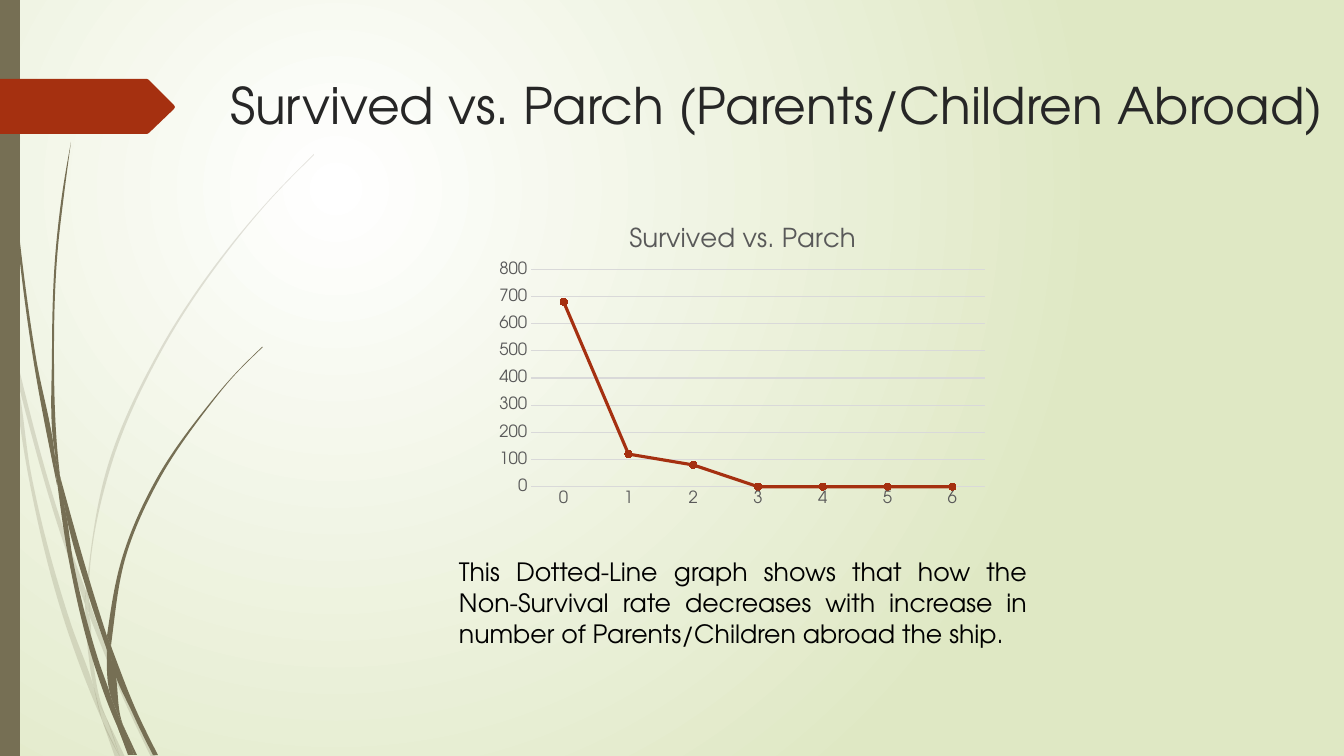
from math import dist

from lxml.etree import SubElement
from pptx import Presentation
from pptx.chart.data import CategoryChartData
from pptx.dml.color import RGBColor
from pptx.enum.chart import XL_CHART_TYPE as ChartType, XL_MARKER_STYLE as Marker
from pptx.enum.chart import XL_TICK_MARK as Tick
from pptx.enum.shapes import MSO_SHAPE as Shape
from pptx.enum.text import MSO_ANCHOR as Anchor, MSO_AUTO_SIZE as AutoSize
from pptx.enum.text import PP_ALIGN as Align
from pptx.oxml import parse_xml
from pptx.oxml.ns import nsdecls, qn
from pptx.util import Pt

PX = 914400 / 100.8
FONT = "TeX Gyre Adventor"
OLIVE, RUST, GREY, RULE = "766F54", "A53010", "595959", "D9D9D9"

# Grass blades: each piece is a pair of edges running the same way
PALE_BLADES = [
    ([(0, 284), (9, 325), (11, 353)], [(0, 301), (10, 347), (11, 353)]),
    ([(17, 379), (58, 526), (85, 604)], [(14, 348), (62, 524), (86, 591)]),
    ([(89, 615), (124, 700), (151, 757)], [(89, 601), (93, 612), (128, 698), (156, 757)]),
    ([(106, 717), (120, 757)], [(106, 717), (125, 757)]),
    ([(11, 353), (28, 474), (66, 626), (93, 699), (102, 720)],
     [(11, 353), (17, 379), (31, 473), (71, 624), (94, 688), (102, 720)]),
    ([(85, 604), (88, 651), (94, 688), (97, 698), (106, 717)],
     [(85, 604), (89, 615), (92, 651), (104, 712), (106, 717)]),
    ([(89, 601), (89, 589), (111, 466), (161, 352), (231, 247), (270, 200), (314, 155)],
     [(86, 591), (108, 465), (159, 351), (230, 246), (270, 199), (314, 154)]),
    ([(102, 720), (115, 757)], [(102, 720), (120, 757)]),
    ([(86, 591), (85, 604), (89, 613)], [(86, 591), (89, 601), (89, 615)]),
    ([(94, 688), (102, 720), (120, 757)], [(94, 688), (97, 698), (106, 717), (120, 757)]),
]
DARK_BLADES = [
    ([(3, 0), (4, 48), (7, 111), (17, 235), (33, 358), (57, 485)],
     [(4, 0), (5, 48), (8, 110), (19, 234), (36, 358), (55, 457), (57, 485)]),
    ([(60, 476), (65, 509), (89, 597), (107, 650)], [(60, 476), (94, 595), (107, 636)]),
    ([(111, 646), (112, 661), (133, 714), (153, 755)],
     [(111, 646), (114, 654), (137, 712), (158, 755)]),
    ([(57, 481), (69, 561), (94, 664), (112, 714), (118, 728)],
     [(57, 481), (65, 509), (73, 560), (99, 662), (111, 697), (118, 728)]),
    ([(71, 142), (62, 195), (56, 247), (52, 352), (55, 453), (60, 476)],
     [(71, 142), (64, 195), (58, 247), (54, 352), (58, 457), (60, 476)]),
    ([(123, 725), (134, 755)], [(123, 725), (137, 755)]),
    ([(55, 453), (57, 481), (65, 509)], [(55, 453), (60, 476), (65, 509)]),
    ([(111, 646), (112, 638), (126, 556), (159, 480), (207, 409), (233, 377), (263, 347)],
     [(107, 636), (123, 555), (157, 478), (206, 408), (233, 376), (262, 347)]),
    ([(118, 728), (128, 755)], [(118, 728), (132, 755)]),
    ([(107, 650), (111, 697), (117, 712), (123, 725)],
     [(107, 650), (112, 661), (122, 722), (123, 725)]),
    ([(107, 636), (107, 650), (112, 661)], [(107, 636), (111, 646), (112, 661)]),
    ([(111, 697), (118, 728), (131, 755)], [(111, 697), (117, 712), (123, 725), (134, 755)]),
]
BANNER = [(0, 79), (147, 79), (149, 80), (174, 105), (175, 107), (174, 109),
          (149, 133), (147, 134), (0, 134)]


def px(*lengths):
    return [round(length * PX) for length in lengths]


def rgb(code):
    return RGBColor.from_string(code)


def style(font, size, color):
    font.name, font.size, font.bold = FONT, Pt(size), False
    font.color.rgb = rgb(color)


def paint(shape, color, opacity=100):
    shape.shadow.inherit = False
    shape.fill.solid()
    shape.fill.fore_color.rgb = rgb(color)
    shape.line.fill.background()
    if opacity < 100:
        tint = shape.element.spPr.find(qn("a:solidFill")).find(qn("a:srgbClr"))
        SubElement(tint, qn("a:alpha"), val=str(opacity * 1000))


def mix(a, b, share):
    return [p + (q - p) * share for p, q in zip(a, b)]


def edge_handles(points):
    """Two Bezier handles for each stretch of a smooth edge."""
    spans = [dist(a, b) for a, b in zip(points, points[1:])]
    chords = [[(q - p) / span for p, q in zip(a, b)]
              for a, b, span in zip(points, points[1:], spans)]
    inner = [mix(chords[i], chords[i + 1], spans[i] / (spans[i] + spans[i + 1]))
             for i in range(len(spans) - 1)]
    first = mix(inner[0], chords[0], 1.5) if inner else chords[0]
    final = mix(inner[-1], chords[-1], 1.5) if inner else chords[-1]
    slopes = [first, *inner, final]
    return [([p + s * span / 3 for p, s in zip(points[i], slopes[i])],
             [p - s * span / 3 for p, s in zip(points[i + 1], slopes[i + 1])])
            for i, span in enumerate(spans)]


def add_outline(shapes, points, color, opacity=100):
    corners = [px(*point) for point in points]
    builder = shapes.build_freeform(*corners[0], scale=1.0)
    builder.add_line_segments(corners[1:], close=True)
    outline = builder.convert_to_shape()
    paint(outline, color, opacity)
    return outline


def bend(outline, handles, left, top):
    """Turn straight stretches into curves; None leaves one straight."""
    for stretch, pair in zip(list(outline.element.iter(qn("a:lnTo"))), handles):
        if pair:
            stretch.tag = qn("a:cubicBezTo")
            for place, handle in enumerate(pair):
                x, y = px(handle[0] - left, handle[1] - top)
                stretch.insert(place, parse_xml(f'<a:pt {nsdecls("a")} x="{x}" y="{y}"/>'))


def add_blades(slide, blades, opacity):
    tuft = slide.shapes.add_group_shape().shapes
    for near, far in blades:
        back = far[::-1]
        tip = back[1:] if near[-1] == back[0] else back
        bridge = [] if near[-1] == back[0] else [None]
        points = near + tip
        outline = add_outline(tuft, points, OLIVE, opacity)
        bend(outline, edge_handles(near) + bridge + edge_handles(back),
             min(x for x, y in points), min(y for x, y in points))


def set_background(slide):
    fill = slide.background.fill
    fill.gradient()
    for stop, color in zip(fill.gradient_stops, ("FFFFFF", "DFE8C4")):
        stop.color.rgb = rgb(color)
    gradient = next(slide.element.iter(qn("a:gradFill")))
    gradient.remove(gradient.find(qn("a:lin")))
    circle = SubElement(gradient, qn("a:path"), path="circle")
    SubElement(circle, qn("a:fillToRect"), l="50000", t="50000", r="100000", b="100000")


def write(frame, text, size, color, align):
    frame.word_wrap = True
    frame.vertical_anchor = Anchor.TOP
    paragraph = frame.paragraphs[0]
    paragraph.alignment = align
    run = paragraph.add_run()
    run.text = text
    style(run.font, size, color)
    return paragraph


def place_plot(chart, **shares):
    """Fix the inner plot area as shares of the chart."""
    plot_area = chart.plots[0]._element.getparent()
    for automatic in plot_area.findall(qn("c:layout")):
        plot_area.remove(automatic)
    settings = {"layoutTarget": "inner", "xMode": "edge", "yMode": "edge", **shares}
    inside = "".join(f'<c:{key} val="{value}"/>' for key, value in settings.items())
    plot_area.insert(0, parse_xml(
        f'<c:layout {nsdecls("c")}><c:manualLayout>{inside}</c:manualLayout></c:layout>'))


def add_survival_chart(slide):
    data = CategoryChartData()
    data.categories = [str(parch) for parch in range(7)]
    data.add_series("Series 1", (680, 120, 80, 0, 0, 0, 0))
    chart = slide.shapes.add_chart(
        ChartType.LINE_MARKERS, *px(491, 209, 504, 302), data).chart
    style(chart.font, 10, "000000")
    chart.has_legend = False
    chart.has_title = True
    heading = chart.chart_title.text_frame.paragraphs[0].add_run()
    heading.text = "Survived vs. Parch"
    style(heading.font, 18.6, GREY)
    chart.chart_title.include_in_layout = False
    place_plot(chart, x=0.08, y=0.2, w=0.9, h=0.72)

    # Axes and gridlines
    parch, count = chart.category_axis, chart.value_axis
    for axis in (parch, count):
        axis.major_tick_mark = axis.minor_tick_mark = Tick.NONE
        style(axis.tick_labels.font, 12, GREY)
    count.minimum_scale, count.maximum_scale, count.major_unit = 0, 800, 100
    count.format.line.fill.background()
    for line in (parch.format.line, count.major_gridlines.format.line):
        line.color.rgb, line.width = rgb(RULE), Pt(0.75)

    # Dotted line
    chart.plots[0].vary_by_categories = False
    series = chart.plots[0].series[0]
    series.smooth = False
    series.format.line.color.rgb, series.format.line.width = rgb(RUST), Pt(2.25)
    series.marker.style, series.marker.size = Marker.CIRCLE, 5
    series.marker.format.fill.solid()
    series.marker.format.fill.fore_color.rgb = rgb(RUST)
    series.marker.format.line.color.rgb = rgb(RUST)


def main():
    deck = Presentation()
    deck.slide_width, deck.slide_height = px(1344, 756)
    slide = deck.slides.add_slide(deck.slide_layouts[5])
    set_background(slide)

    # Decoration on the left
    add_blades(slide, PALE_BLADES, 20)
    add_blades(slide, DARK_BLADES, 100)
    paint(slide.shapes.add_shape(Shape.RECTANGLE, *px(0, 0, 20, 756)), OLIVE)
    add_outline(slide.shapes, BANNER, RUST)

    # Title, in front of the decoration
    title = slide.shapes.title
    title.element.getparent().append(title.element)
    title.left, title.top, title.width, title.height = px(220, 69, 1124, 141)
    title.text_frame.auto_size = AutoSize.NONE
    write(title.text_frame, "Survived vs. Parch (Parents/Children Abroad)",
          36, "262626", Align.LEFT)

    # Chart and its explanation
    add_survival_chart(slide)
    remark = slide.shapes.add_textbox(*px(449, 551, 588, 102)).text_frame
    remark.auto_size = AutoSize.SHAPE_TO_FIT_TEXT
    paragraph = write(
        remark, "This Dotted-Line graph shows that how the Non-Survival rate decreases "
        "with increase in number of Parents/Children abroad the ship.",
        18, "000000", Align.JUSTIFY)
    paragraph.line_spacing = 1.02

    deck.save("out.pptx")


main()
